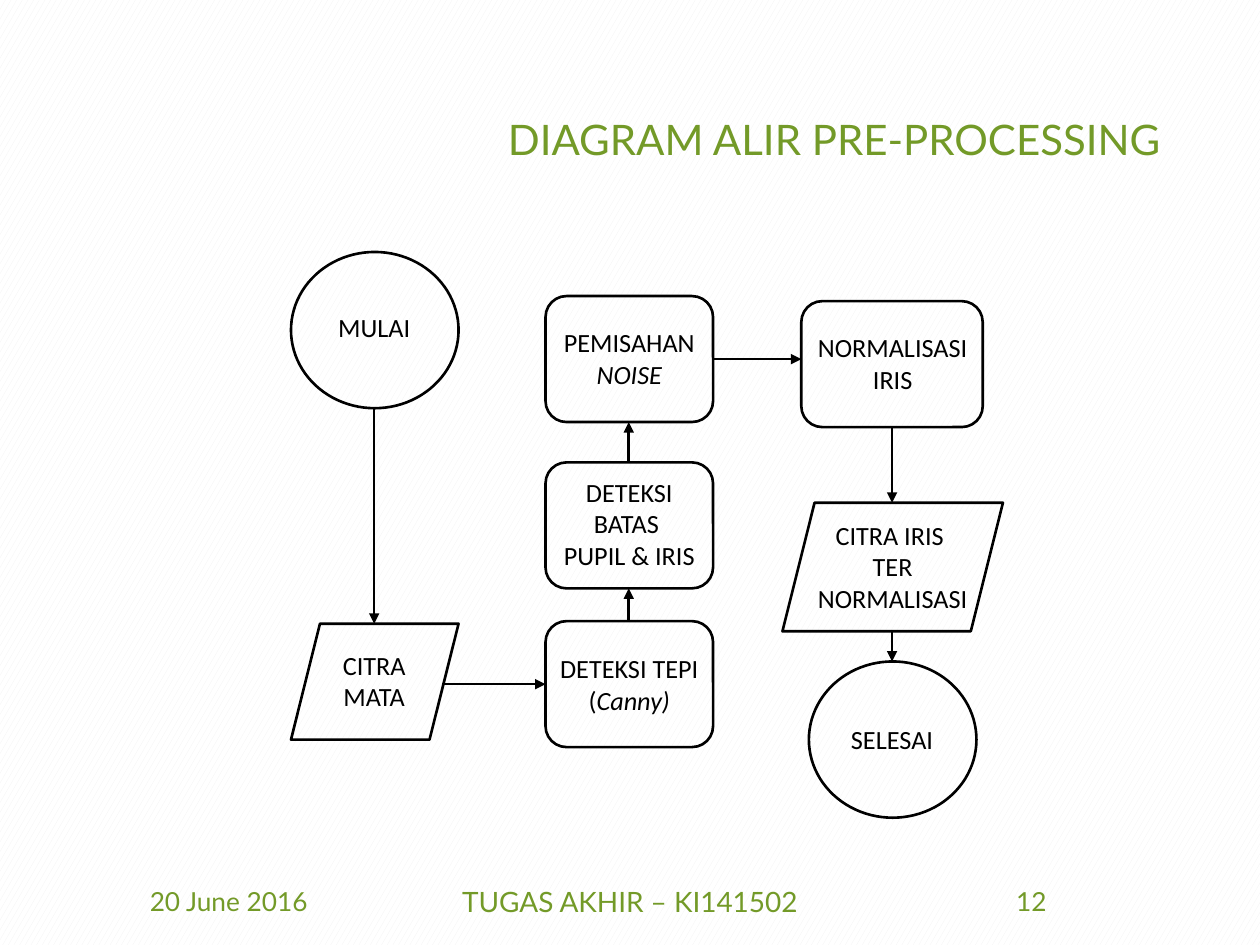
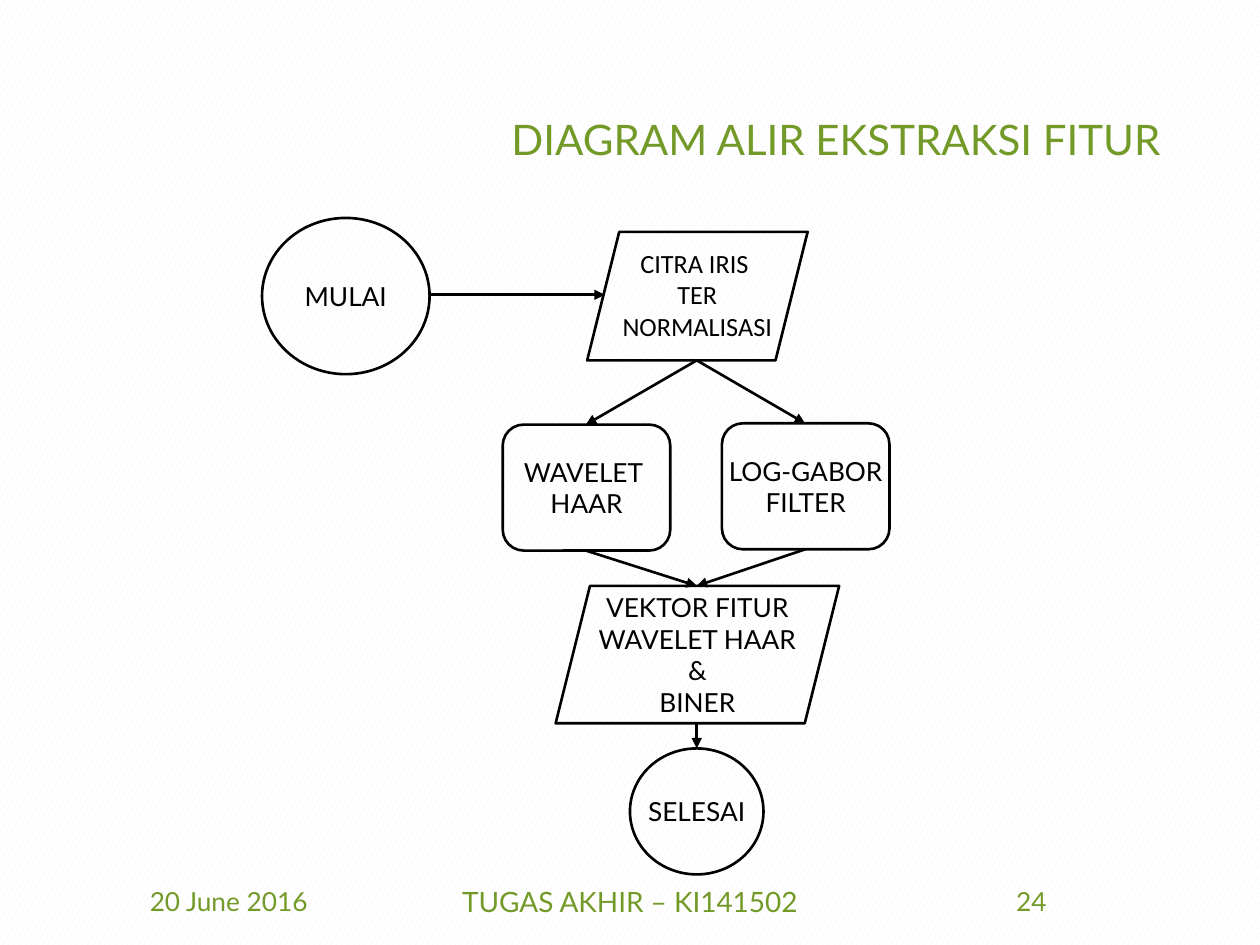
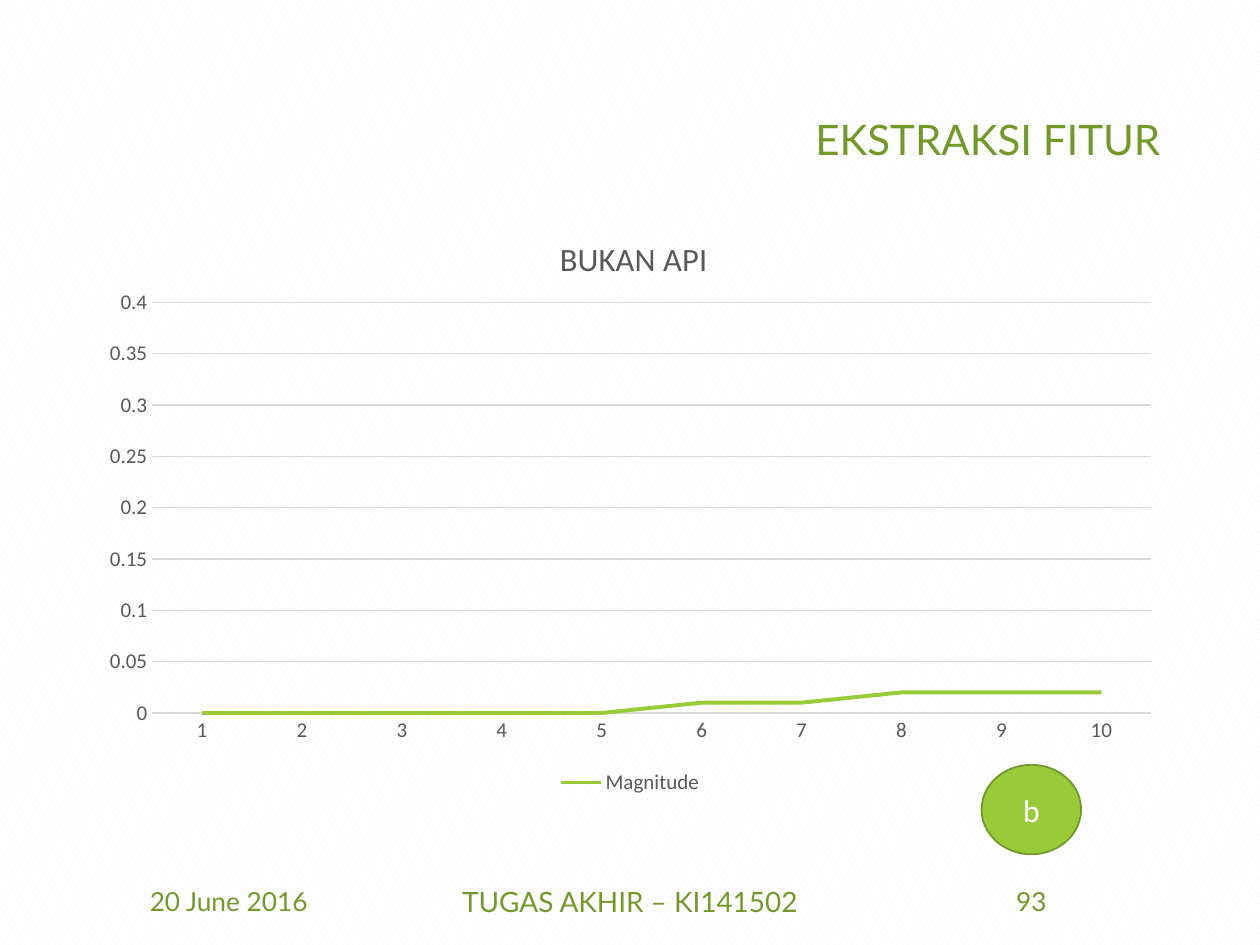
from dataclasses import dataclass
from typing import NamedTuple

from pptx import Presentation
from pptx.chart.data import CategoryChartData
from pptx.dml.color import RGBColor
from pptx.enum.chart import XL_CHART_TYPE, XL_LEGEND_POSITION, XL_MARKER_STYLE, XL_TICK_MARK
from pptx.enum.dml import MSO_PATTERN
from pptx.enum.shapes import MSO_CONNECTOR, MSO_SHAPE
from pptx.enum.text import MSO_ANCHOR, MSO_AUTO_SIZE, PP_ALIGN
from pptx.oxml import parse_xml
from pptx.oxml.ns import nsdecls
from pptx.util import Emu, Pt

EMU_PER_PX = 9144  # 100 px to the inch
TITLE_ONLY = 5

ELLIPSE = MSO_SHAPE.OVAL
ROUNDED = MSO_SHAPE.ROUNDED_RECTANGLE
SLANTED = MSO_SHAPE.PARALLELOGRAM
CENTER, RIGHT = PP_ALIGN.CENTER, PP_ALIGN.RIGHT
TOP, MIDDLE = MSO_ANCHOR.TOP, MSO_ANCHOR.MIDDLE

HEADING_FONT, BODY_FONT = "Lato", "Calibri"
DARK_GREEN, GREEN, GREEN_EDGE = "739A28", "99CB38", "719629"
BLACK, WHITE, PATTERN_GRAY = "000000", "FFFFFF", "F2F2F2"
CHART_TEXT, CHART_GRID = "595959", "D9D9D9"


class Box(NamedTuple):
    left: int
    top: int
    width: int
    height: int


class Point(NamedTuple):
    x: int
    y: int


class Run(NamedTuple):
    text: str
    italic: bool = False


class Style(NamedTuple):
    font: str = BODY_FONT
    size: float = 15
    color: str = BLACK


Paragraphs = list[list[Run]]


@dataclass
class Node:
    """A flow chart step; its text sits in its own label box when one is given."""
    kind: MSO_SHAPE
    box: Box
    paragraphs: Paragraphs
    label: Box | None = None
    font: str = BODY_FONT

    @property
    def top(self) -> Point:
        return Point(self.box.left + self.box.width // 2, self.box.top)

    @property
    def bottom(self) -> Point:
        return Point(self.top.x, self.box.top + self.box.height)


class Footer(NamedTuple):
    box: Box
    size: int
    text: str


TITLE_BOX = Box(69, 40, 862, 145)
DATE = Footer(Box(69, 695, 225, 40), 15, "20 June 2016")
COURSE = Footer(Box(331, 695, 338, 40), 16, "TUGAS AKHIR – KI141502")
NUMBER_BOX = Box(706, 695, 225, 40)


def px(length: int) -> Emu:
    return Emu(length * EMU_PER_PX)


def place(box: Box) -> list[Emu]:
    return [px(length) for length in box]


def rgb(color: str) -> RGBColor:
    return RGBColor.from_string(color)


def plain(*lines: str) -> Paragraphs:
    return [[Run(line)] for line in lines]


def style_font(font, style: Style) -> None:
    font.name, font.size = style.font, Pt(style.size)
    font.color.rgb = rgb(style.color)


def write(text_frame, paragraphs: Paragraphs, style: Style, align=CENTER,
          anchor=MIDDLE, wrap: bool = True) -> None:
    text_frame.word_wrap = wrap
    text_frame.vertical_anchor = anchor
    for index, runs in enumerate(paragraphs):
        paragraph = text_frame.add_paragraph() if index else text_frame.paragraphs[0]
        paragraph.alignment = align
        for item in runs:
            run = paragraph.add_run()
            run.text = item.text
            style_font(run.font, style)
            if item.italic:
                run.font.italic = True


def add_label(slide, box: Box, paragraphs: Paragraphs, style: Style, anchor=MIDDLE):
    label = slide.shapes.add_textbox(*place(box))
    write(label.text_frame, paragraphs, style, anchor=anchor)
    return label


def add_outline(slide, kind, box: Box, color: str, width: float):
    shape = slide.shapes.add_shape(kind, *place(box))
    shape.shadow.inherit = False
    shape.fill.background()
    shape.line.color.rgb = rgb(color)
    shape.line.width = Pt(width)
    return shape


def add_node(slide, node: Node) -> None:
    shape = add_outline(slide, node.kind, node.box, BLACK, 1.5)
    style = Style(node.font)
    if node.label:
        label = add_label(slide, node.label, node.paragraphs, style, TOP)
        label.text_frame.auto_size = MSO_AUTO_SIZE.SHAPE_TO_FIT_TEXT
    else:
        write(shape.text_frame, node.paragraphs, style, wrap=False)


def add_arrow(slide, start: Point, end: Point) -> None:
    arrow = slide.shapes.add_connector(
        MSO_CONNECTOR.STRAIGHT, *map(px, start), *map(px, end))
    arrow.line.color.rgb = rgb(BLACK)
    arrow.line.width = Pt(1.5)
    arrow.line._get_or_add_ln().append(
        parse_xml(f'<a:tailEnd {nsdecls("a")} type="triangle"/>'))
    arrow.element.spPr.append(parse_xml(f'<a:effectLst {nsdecls("a")}/>'))


def add_flow(slide, nodes: list[Node], arrows: list[tuple[Point, Point]]) -> None:
    for node in nodes:
        add_node(slide, node)
    for start, end in arrows:
        add_arrow(slide, start, end)


def add_page(presentation, title: str, number: int):
    """Add a slide with the shared title and footers."""
    slide = presentation.slides.add_slide(presentation.slide_layouts[TITLE_ONLY])
    heading = slide.shapes.title
    heading.left, heading.top, heading.width, heading.height = place(TITLE_BOX)
    write(heading.text_frame, plain(title), Style(HEADING_FONT, 24, DARK_GREEN), RIGHT)
    heading.text_frame.auto_size = MSO_AUTO_SIZE.NONE
    heading.text_frame.paragraphs[0].line_spacing = 0.9
    for footer in (DATE, COURSE, Footer(NUMBER_BOX, 15, str(number))):
        add_label(slide, footer.box, plain(footer.text),
                  Style(HEADING_FONT, footer.size, DARK_GREEN))
    return slide


def set_layout(element, index: int, **fractions: float) -> None:
    """Fix a chart part at fractions (x, y, w, h) of the chart area."""
    for old in element.xpath("c:layout"):
        element.remove(old)
    modes = "".join(f'<c:{key}Mode val="edge"/>' for key in ("x", "y"))
    values = "".join(f'<c:{key} val="{value}"/>' for key, value in fractions.items())
    target = '<c:layoutTarget val="inner"/>' if "w" in fractions else ""
    element.insert(index, parse_xml(
        f'<c:layout {nsdecls("c")}><c:manualLayout>{target}{modes}{values}'
        '</c:manualLayout></c:layout>'))


def add_magnitude_chart(slide) -> None:
    data = CategoryChartData()
    data.categories = [str(number) for number in range(1, 11)]
    data.add_series("Magnitude", [0] * 5 + [0.01] * 2 + [0.02] * 3)
    chart = slide.shapes.add_chart(
        XL_CHART_TYPE.LINE, *place(Box(69, 159, 862, 476)), data).chart
    label_style = Style(size=12, color=CHART_TEXT)
    style_font(chart.font, label_style)

    chart.has_title = True
    write_title = chart.chart_title.text_frame.paragraphs[0].add_run()
    write_title.text = "BUKAN API"
    style_font(write_title.font, Style(size=18.6, color=CHART_TEXT))
    write_title.font.bold = False
    set_layout(chart.element.xpath("c:chart/c:title")[0], 1, x=0.43, y=0.05)
    set_layout(chart.element.xpath("c:chart/c:plotArea")[0], 0,
               x=0.06, y=0.17, w=0.92, h=0.685)

    chart.has_legend = True
    chart.legend.position = XL_LEGEND_POSITION.BOTTOM
    chart.legend.include_in_layout = False
    style_font(chart.legend.font, label_style)

    values, categories = chart.value_axis, chart.category_axis
    for axis in (values, categories):
        axis.major_tick_mark = axis.minor_tick_mark = XL_TICK_MARK.NONE
        style_font(axis.tick_labels.font, label_style)
    values.minimum_scale, values.maximum_scale, values.major_unit = 0, 0.4, 0.05
    values.format.line.fill.background()
    for line in (values.major_gridlines.format.line, categories.format.line):
        line.color.rgb = rgb(CHART_GRID)
        line.width = Pt(0.75)

    plot = chart.plots[0]
    plot.vary_by_categories = False
    series = plot.series[0]
    series.smooth = False
    series.marker.style = XL_MARKER_STYLE.NONE
    series.format.line.color.rgb = rgb(GREEN)
    series.format.line.width = Pt(2.25)


def add_preprocessing_slide(presentation) -> None:
    slide = add_page(presentation, "DIAGRAM ALIR PRE-PROCESSING", 12)
    start = Node(ELLIPSE, Box(231, 200, 133, 124), plain("MULAI"), Box(247, 242, 100, 35))
    eye = Node(SLANTED, Box(231, 495, 133, 92), plain("CITRA MATA"),
               Box(247, 510, 100, 61))
    edges = Node(ROUNDED, Box(433, 493, 133, 100),
                 [[Run("DETEKSI TEPI")], [Run("("), Run("Canny)", True)]])
    borders = Node(ROUNDED, Box(433, 367, 133, 100),
                   plain("DETEKSI BATAS ", "PUPIL & IRIS"), Box(433, 373, 133, 86))
    noise = Node(ROUNDED, Box(433, 235, 133, 100),
                 [[Run("PEMISAHAN "), Run("NOISE", True)]], Box(433, 254, 133, 61))
    normalize = Node(ROUNDED, Box(636, 239, 144, 100), plain("NORMALISASI IRIS"),
                     Box(638, 258, 141, 61))
    iris = Node(SLANTED, Box(621, 399, 175, 102),
                plain("CITRA IRIS ", "TER", "NORMALISASI"), Box(635, 407, 147, 86))
    finish = Node(ELLIPSE, Box(642, 525, 133, 124), plain("SELESAI"),
                  Box(658, 569, 100, 35))
    add_flow(slide, [start, eye, edges, borders, noise, normalize, iris, finish], [
        (start.bottom, eye.top),
        (Point(351, 543), Point(433, 543)),
        (edges.top, borders.bottom),
        (borders.top, noise.bottom),
        (Point(567, 285), Point(636, 285)),
        (normalize.bottom, iris.top),
        (iris.bottom, finish.top),
    ])


def add_extraction_slide(presentation) -> None:
    slide = add_page(presentation, "DIAGRAM ALIR EKSTRAKSI FITUR", 24)
    start = Node(ELLIPSE, Box(208, 173, 133, 124), plain("MULAI"), font=HEADING_FONT)
    iris = Node(SLANTED, Box(466, 184, 175, 102),
                plain("CITRA IRIS ", "TER", "NORMALISASI"), Box(480, 191, 147, 86))
    haar = Node(ROUNDED, Box(399, 337, 133, 100), plain("WAVELET ", "HAAR"),
                font=HEADING_FONT)
    gabor = Node(ROUNDED, Box(573, 336, 133, 100), plain("LOG-GABOR", "FILTER"),
                 font=HEADING_FONT)
    vector = Node(SLANTED, Box(441, 465, 225, 109),
                  plain("VEKTOR FITUR", "WAVELET HAAR", "&", "BINER"), font=HEADING_FONT)
    finish = Node(ELLIPSE, Box(500, 594, 106, 100), plain("SELESAI"), font=HEADING_FONT)
    add_flow(slide, [start, iris, haar, gabor, vector, finish], [
        (Point(341, 234), Point(480, 234)),
        (iris.bottom, haar.top),
        (iris.bottom, gabor.top),
        (haar.bottom, vector.top),
        (gabor.bottom, vector.top),
        (vector.bottom, finish.top),
    ])


def add_result_slide(presentation) -> None:
    slide = add_page(presentation, "EKSTRAKSI FITUR", 93)
    add_magnitude_chart(slide)
    badge = add_outline(slide, ELLIPSE, Box(779, 607, 79, 71), GREEN_EDGE, 1)
    badge.fill.solid()
    badge.fill.fore_color.rgb = rgb(GREEN)
    write(badge.text_frame, plain("b"), Style(size=18, color=WHITE))


def main() -> None:
    presentation = Presentation()
    presentation.slide_width, presentation.slide_height = px(1000), px(750)
    background = presentation.slide_master.background.fill
    background.patterned()
    background.pattern = MSO_PATTERN.LARGE_CONFETTI
    background.fore_color.rgb = rgb(PATTERN_GRAY)
    background.back_color.rgb = rgb(WHITE)
    add_preprocessing_slide(presentation)
    add_extraction_slide(presentation)
    add_result_slide(presentation)
    presentation.save("out.pptx")


if __name__ == "__main__":
    main()
